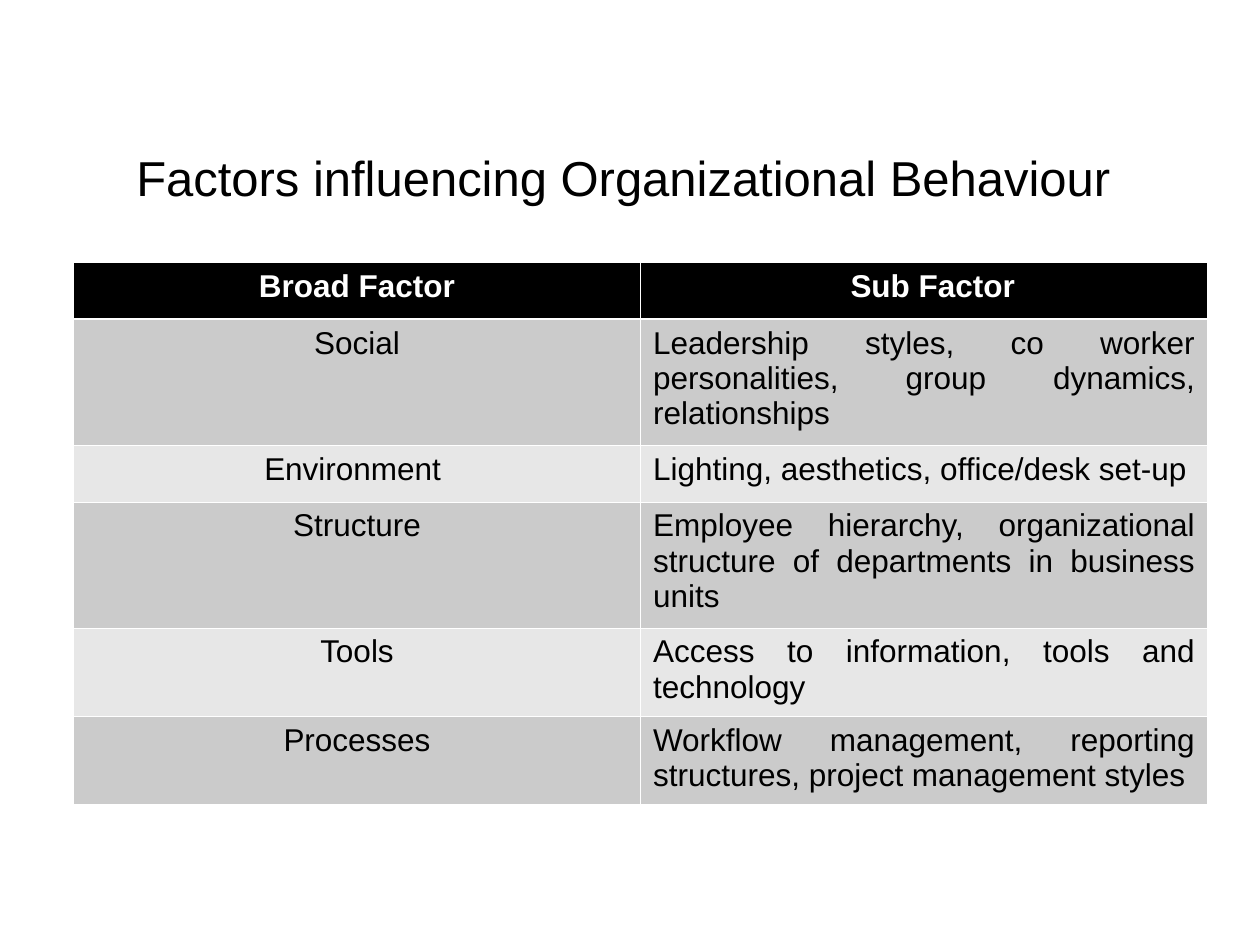
from lxml.etree import SubElement
from pptx import Presentation
from pptx.dml.color import RGBColor
from pptx.enum.text import MSO_ANCHOR as Anchor, PP_ALIGN as Align
from pptx.oxml.ns import qn
from pptx.util import Pt

BLACK = RGBColor(0x00, 0x00, 0x00)
WHITE = RGBColor(0xFF, 0xFF, 0xFF)
DARK_BAND = RGBColor(0xCB, 0xCB, 0xCB)
LIGHT_BAND = RGBColor(0xE7, 0xE7, 0xE7)
FONT = "Arial"
THIN = Pt(0.45)
THICK = Pt(1.47)

TITLE = "Factors influencing Organizational Behaviour "
FACTORS = [
    ("Broad Factor", "Sub Factor", 32.4),
    ("Social", "Leadership styles, co worker personalities, group dynamics, relationships", 72),
    ("Environment ", "Lighting, aesthetics, office/desk set-up", 32.4),
    ("Structure", "Employee hierarchy, organizational structure of departments in business units", 72),
    ("Tools", "Access to information, tools and technology", 50.4),
    ("Processes", "Workflow management, reporting structures, project management styles", 50.4),
]


def write_text(text_frame, text, size, color, align, bold=False):
    text_frame.text = text
    paragraph = text_frame.paragraphs[0]
    paragraph.alignment = align
    font = paragraph.runs[0].font
    font.name = FONT
    font.size = Pt(size)
    font.bold = bold
    font.color.rgb = color


def add_border(cell, side, width):
    properties = cell._tc.get_or_add_tcPr()
    line = SubElement(properties, qn(f"a:ln{side}"), w=str(width))
    fill = SubElement(line, qn("a:solidFill"))
    SubElement(fill, qn("a:srgbClr"), val=str(WHITE))


def add_title(slide, left, top, width, height):
    text_frame = slide.shapes.add_textbox(left, top, width, height).text_frame
    text_frame.word_wrap = True
    text_frame.vertical_anchor = Anchor.BOTTOM
    text_frame.margin_bottom = Pt(8)
    write_text(text_frame, TITLE, 28, BLACK, Align.CENTER)


def style_cell(cell, text, row, column):
    is_header = row == 0
    for side in "LRTB":
        under_header = (row, side) in ((0, "B"), (1, "T"))
        add_border(cell, side, THICK if under_header else THIN)
    cell.fill.solid()
    band = DARK_BAND if row % 2 else LIGHT_BAND
    cell.fill.fore_color.rgb = BLACK if is_header else band
    color = WHITE if is_header else BLACK
    align = Align.CENTER if is_header or column == 0 else Align.JUSTIFY
    write_text(cell.text_frame, text, 18, color, align, is_header)


def add_factor_table(slide, left, top, width, height):
    table = slide.shapes.add_table(len(FACTORS), 2, left, top, width, height).table
    table.first_row = False
    table.horz_banding = False
    for column in table.columns:
        column.width = width // 2
    for row, (*texts, row_height) in enumerate(FACTORS):
        table.rows[row].height = Pt(row_height)
        for column, text in enumerate(texts):
            style_cell(table.cell(row, column), text, row, column)
    table.cell(0, 1).margin_left = Pt(17.2)


def main():
    presentation = Presentation()
    presentation.slide_width = Pt(720)
    presentation.slide_height = Pt(540)
    slide = presentation.slides.add_slide(presentation.slide_layouts[6])
    add_title(slide, Pt(36), Pt(36), Pt(648), Pt(90))
    add_factor_table(slide, Pt(42), Pt(150), Pt(648), Pt(309.6))
    presentation.save("out.pptx")


if __name__ == "__main__":
    main()
